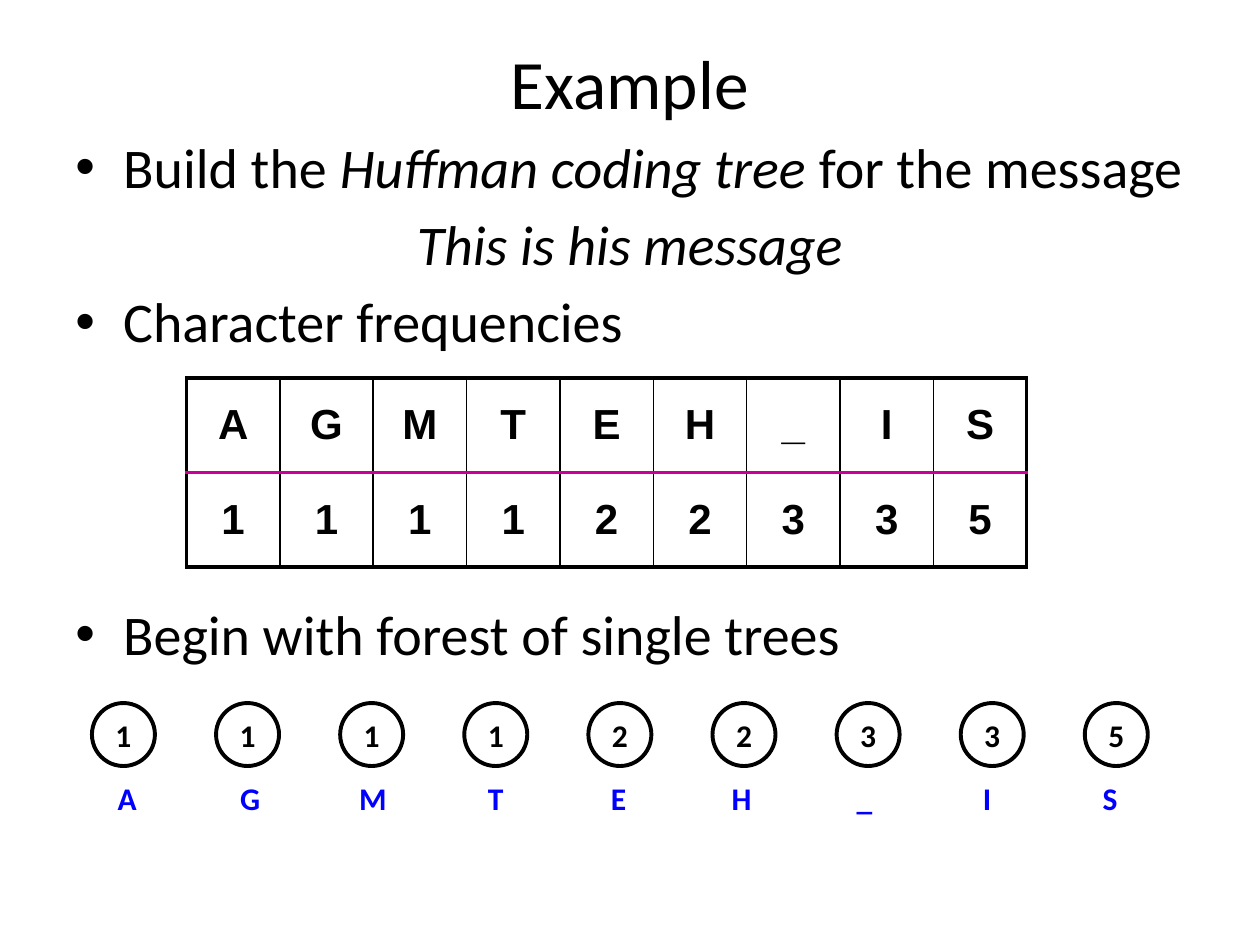
import pptx
import pptx.util
import pptx.dml.color
import pptx.enum.shapes
import pptx.enum.text
import pptx.oxml
import pptx.oxml.ns
import lxml.etree

Inches = pptx.util.Inches
Pt = pptx.util.Pt
ALIGN = pptx.enum.text.PP_ALIGN
ANCHOR = pptx.enum.text.MSO_ANCHOR
BLACK, BLUE, MAGENTA = "000000", "0000FF", "CC0099"
FREQUENCIES = [("A", 1), ("G", 1), ("M", 1), ("T", 1), ("E", 2),
               ("H", 2), ("_", 3), ("I", 3), ("S", 5)]
BODY = [
    ([("Build the ", False), ("Huffman coding tree ", True),
      ("for the message", False)], True, 5.8),
    ([("This is his message", True)], False, 5.8),
    ([("Character frequencies", False)], True, 5.8),
    ([("Begin with forest of single trees", False)], True, 140.4),
]


def color(value):
    return pptx.dml.color.RGBColor.from_string(value)


def set_values(target, values):
    for name, value in values.items():
        setattr(target, name, value)


def add_run(paragraph, text, font_color=BLACK, **values):
    run = paragraph.add_run()
    run.text = text
    set_values(run.font, {"name": "Calibri", **values})
    run.font.color.rgb = color(font_color)


def add_child(parent, tag, **attributes):
    child = lxml.etree.SubElement(parent, pptx.oxml.ns.qn(tag))
    for name, value in attributes.items():
        child.set(name, str(value))
    return child


def format_title(slide):
    title = slide.shapes.title
    set_values(title, {"left": Inches(0.5), "top": Inches(0.3),
                       "width": Inches(9), "height": Inches(0.7)})
    set_values(title.text_frame, {"vertical_anchor": ANCHOR.MIDDLE,
                                  "auto_size": pptx.enum.text.MSO_AUTO_SIZE.NONE})
    paragraph = title.text_frame.paragraphs[0]
    paragraph.alignment = ALIGN.CENTER
    add_run(paragraph, "Example", size=Pt(39.6))


def add_body(slide):
    shape = slide.shapes.add_textbox(Inches(0.5), Inches(1), Inches(9), Inches(5.7))
    frame = shape.text_frame
    frame.word_wrap = True
    for index, (runs, bulleted, space) in enumerate(BODY):
        paragraph = frame.add_paragraph() if index else frame.paragraphs[0]
        set_values(paragraph, {"space_before": Pt(space),
                               "alignment": ALIGN.LEFT if bulleted else ALIGN.CENTER})
        properties = paragraph._p.get_or_add_pPr()
        properties.set("marL", str(Inches(0.38)))
        properties.set("indent", str(-Inches(0.38)))
        if bulleted:
            add_child(properties, "a:buFont", typeface="Arial")
            add_child(properties, "a:buChar", char="•")
        else:
            add_child(properties, "a:buNone")
        for text, italic in runs:
            add_run(paragraph, text, size=Pt(32), italic=italic)


def set_borders(cell, borders):
    properties = cell._tc.get_or_add_tcPr()
    for position, (side, (width, line_color)) in enumerate(borders.items()):
        line = add_child(properties, "a:ln" + side, w=Pt(width))
        fill = add_child(line, "a:solidFill")
        add_child(fill, "a:srgbClr", val=line_color)
        properties.remove(line)
        properties.insert(position, line)


def add_frequency_table(slide):
    columns = len(FREQUENCIES)
    table = slide.shapes.add_table(2, columns, Inches(1.48), Inches(3),
                                   Inches(6.67), Inches(1.5)).table
    set_values(table, {"first_row": False, "horz_banding": False})
    thin, thick, divider = (1, BLACK), (2.25, BLACK), (2.25, MAGENTA)
    for column, pair in enumerate(FREQUENCIES):
        for row, value in enumerate(pair):
            cell = table.cell(row, column)
            cell.fill.background()
            cell.vertical_anchor = ANCHOR.MIDDLE
            paragraph = cell.text_frame.paragraphs[0]
            paragraph.alignment = ALIGN.CENTER
            add_run(paragraph, str(value), name="Arial", size=Pt(24), bold=True)
            set_borders(cell, {
                "L": thick if column == 0 else thin,
                "R": thick if column == columns - 1 else thin,
                "T": divider if row else thick,
                "B": thick if row else divider,
            })


def add_centered_text(shape, text, font_color, anchor):
    frame = shape.text_frame
    set_values(frame, {"word_wrap": False, "vertical_anchor": anchor})
    paragraph = frame.paragraphs[0]
    paragraph.alignment = ALIGN.CENTER
    add_run(paragraph, text, font_color, size=Pt(18), bold=True)


def add_node(slide, left, frequency):
    node = slide.shapes.add_shape(
        pptx.enum.shapes.MSO_SHAPE.FLOWCHART_CONNECTOR,
        Inches(left), Inches(5.58), Inches(0.5), Inches(0.5))
    node.shadow.inherit = False
    node.fill.background()
    node.line.color.rgb = color(BLACK)
    node.line.width = Pt(2.25)
    add_centered_text(node, str(frequency), BLACK, ANCHOR.MIDDLE)


def add_label(slide, left, symbol):
    label = slide.shapes.add_textbox(Inches(left), Inches(6.13),
                                     Inches(0.44), Inches(0.5))
    add_centered_text(label, symbol, BLUE, ANCHOR.TOP)


def add_forest(slide):
    node_step = (8.61 - 0.73) / (len(FREQUENCIES) - 1)
    label_step = (8.59 - 0.79) / (len(FREQUENCIES) - 1)
    for index, (symbol, frequency) in enumerate(FREQUENCIES):
        add_node(slide, 0.73 + index * node_step, frequency)
        add_label(slide, 0.79 + index * label_step, symbol)


def main():
    presentation = pptx.Presentation()
    set_values(presentation, {"slide_width": Inches(10), "slide_height": Inches(7.5)})
    slide = presentation.slides.add_slide(presentation.slide_layouts[5])
    format_title(slide)
    add_body(slide)
    add_frequency_table(slide)
    add_forest(slide)
    presentation.save("out.pptx")


if __name__ == "__main__":
    main()
